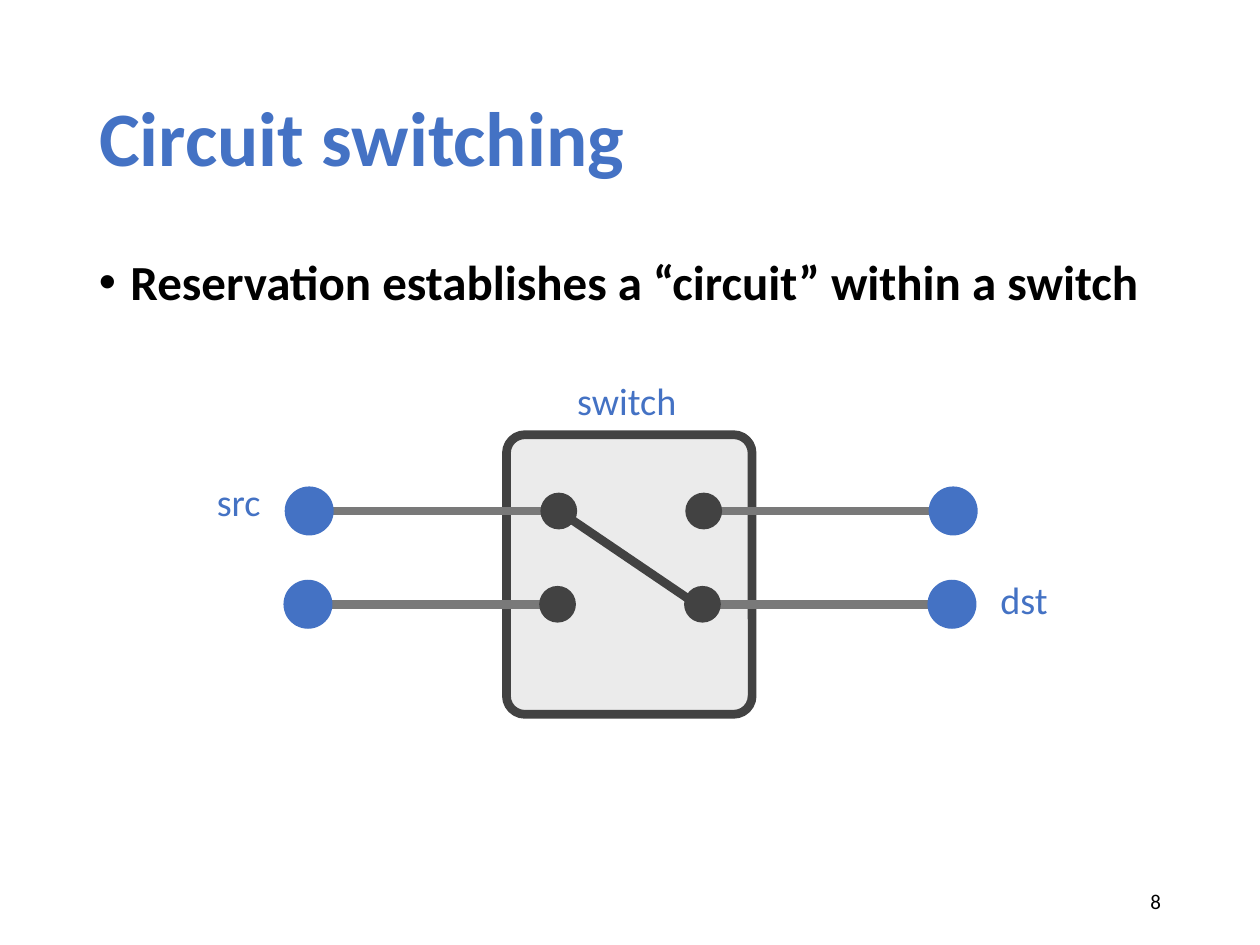
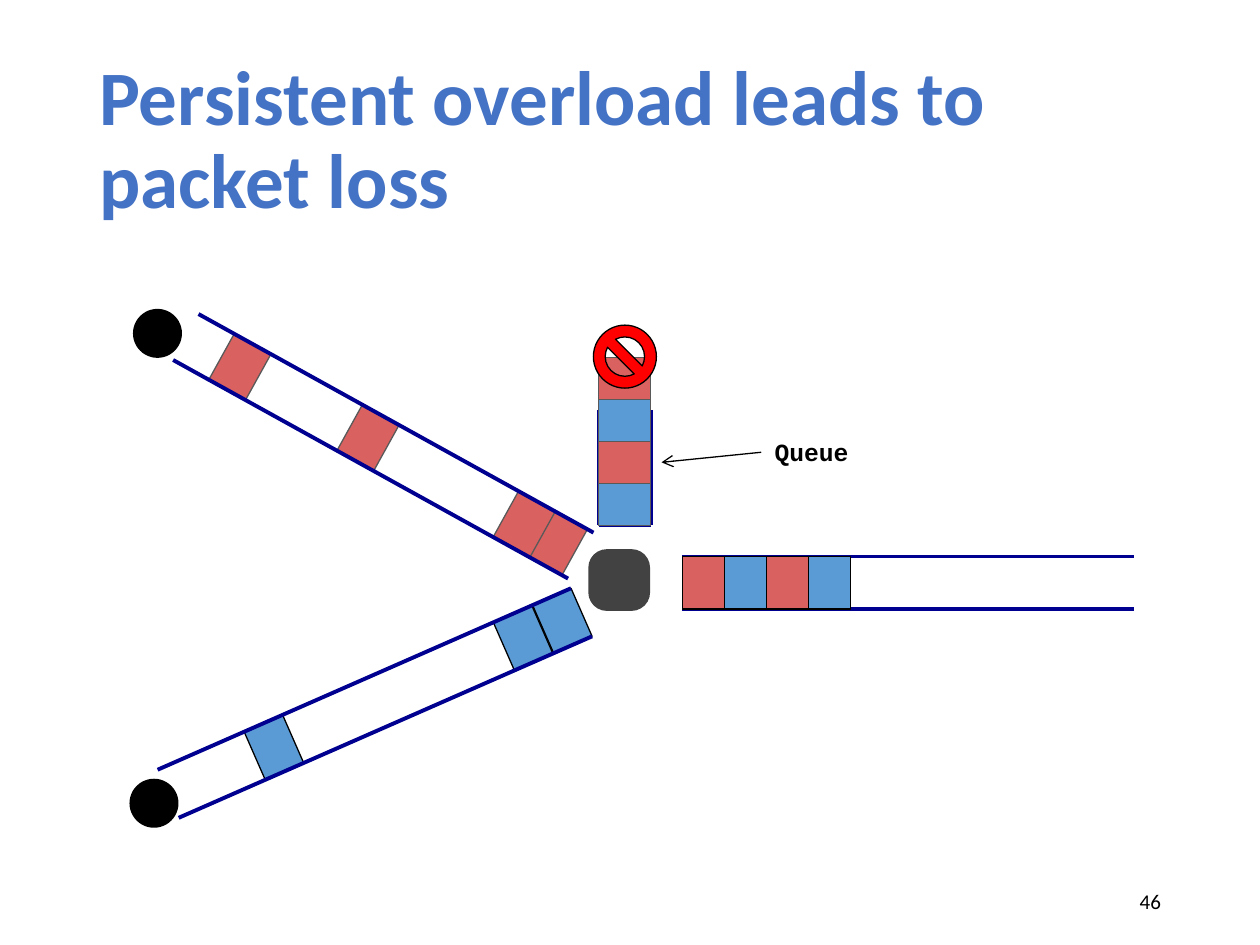
from math import atan2, cos, degrees, hypot, sin

from pptx import Presentation
from pptx.dml.color import RGBColor
from pptx.enum.shapes import MSO_CONNECTOR, MSO_SHAPE
from pptx.enum.text import MSO_ANCHOR, MSO_AUTO_SIZE, PP_ALIGN
from pptx.oxml.ns import qn
from pptx.util import Pt
from lxml.etree import SubElement

BLUE = RGBColor(0x44, 0x72, 0xC4)
SKY = RGBColor(0x5B, 0x9B, 0xD5)
CORAL = RGBColor(0xD9, 0x61, 0x5F)
RED = RGBColor(0xFF, 0x00, 0x00)
NAVY = RGBColor(0x00, 0x00, 0x90)
BLACK = RGBColor(0x00, 0x00, 0x00)
CHARCOAL = RGBColor(0x42, 0x42, 0x42)
SLATE = RGBColor(0x59, 0x59, 0x59)
GRAY = RGBColor(0x79, 0x79, 0x79)
PALE = RGBColor(0xEB, 0xEB, 0xEB)

TITLE_BOX = (49.5, 28.8, 621, 104.4)
BODY_BOX = (49.5, 144, 621, 343)
NUMBER_BOX = (508.5, 500.5, 162, 28.8)
PACKET_LENGTH, PACKET_WIDTH = 24, 30
HOST_SIZE, PORT_SIZE = 28, 21

TITLE_FONT = {"name": "Calibri", "size": Pt(44), "bold": True}
BODY_FONT = {"name": "Calibri", "size": Pt(28), "bold": True}
LABEL_FONT = {"name": "Calibri", "size": Pt(21.8)}
NUMBER_FONT = {"name": "Calibri", "size": Pt(12)}
QUEUE_FONT = {"name": "Courier New", "size": Pt(14.1), "bold": True}


# Shared drawing helpers
def set_values(target, values):
    for name, value in values.items():
        setattr(target, name, value)


def write(shape, text, font, color, align=PP_ALIGN.LEFT, anchor=MSO_ANCHOR.MIDDLE,
          wrap=True, insets=(7.2, 3.6), spacing=1.0):
    frame = shape.text_frame
    across, down = map(Pt, insets)
    set_values(frame, {"auto_size": MSO_AUTO_SIZE.NONE, "word_wrap": wrap,
                       "vertical_anchor": anchor, "margin_left": across,
                       "margin_right": across, "margin_top": down, "margin_bottom": down})
    frame.text = text
    paragraph = frame.paragraphs[0]
    set_values(paragraph, {"alignment": align, "line_spacing": spacing})
    set_values(paragraph.runs[0].font, font)
    paragraph.runs[0].font.color.rgb = color
    return paragraph


def add_text(slide, box, text, font, color, **layout):
    shape = slide.shapes.add_textbox(*map(Pt, box))
    write(shape, text, font, color, **layout)
    return shape


def add_shape(slide, kind, box, fill, line=None, weight=0.75, rotation=0):
    shape = slide.shapes.add_shape(kind, *map(Pt, box))
    shape.shadow.inherit = False
    shape.rotation = rotation
    shape.fill.solid()
    shape.fill.fore_color.rgb = fill
    if line is None:
        shape.line.fill.background()
    else:
        shape.line.color.rgb = line
        shape.line.width = Pt(weight)
    return shape


def add_dot(slide, center, size, fill):
    x, y = center
    return add_shape(slide, MSO_SHAPE.OVAL, (x - size / 2, y - size / 2, size, size), fill)


def add_line(slide, start, end, color, weight):
    line = slide.shapes.add_connector(MSO_CONNECTOR.STRAIGHT, *map(Pt, (*start, *end)))
    line.line.color.rgb = color
    line.line.width = Pt(weight)
    SubElement(line._element.spPr, qn("a:effectLst"))
    return line


def start_slide(presentation, title, number):
    slide = presentation.slides.add_slide(presentation.slide_layouts[5])
    placeholder = slide.shapes.title
    left, top, width, height = map(Pt, TITLE_BOX)
    set_values(placeholder, {"left": left, "top": top, "width": width, "height": height})
    write(placeholder, title, TITLE_FONT, BLUE, spacing=0.9)
    add_text(slide, NUMBER_BOX, number, NUMBER_FONT, BLACK, align=PP_ALIGN.RIGHT)
    return slide


# Bulleted statement
def add_bullet(slide, box, text):
    shape = slide.shapes.add_textbox(*map(Pt, box))
    paragraph = write(shape, text, BODY_FONT, BLACK, anchor=MSO_ANCHOR.TOP, spacing=0.9)
    properties = paragraph._p.get_or_add_pPr()
    properties.set("marL", str(Pt(18)))
    properties.set("indent", str(-Pt(18)))
    SubElement(properties, qn("a:buFont")).set("typeface", "Arial")
    SubElement(properties, qn("a:buChar")).set("char", "•")


# Switch with two wires on each side
def draw_switch(slide, box):
    left, top, width, height = box
    body = add_shape(slide, MSO_SHAPE.ROUNDED_RECTANGLE, box, PALE, CHARCOAL, 5)
    body.adjustments[0] = 0.075
    middle = left + width / 2 + 1.1
    rows = [(middle, top + 43.6), (middle - 0.7, top + 96.9)]
    port_reach, host_reach = 41.4, 184

    (upper_x, upper_y), (lower_x, lower_y) = rows
    add_line(slide, (upper_x - port_reach + 3, upper_y + 2),
             (lower_x + port_reach + 1, lower_y + 3), CHARCOAL, 5)
    for x, y in rows:
        for side in (-1, 1):
            host, port = (x + side * host_reach, y), (x + side * port_reach, y)
            add_line(slide, host, port, GRAY, 5)
            add_dot(slide, host, HOST_SIZE, BLUE)
            add_dot(slide, port, PORT_SIZE, CHARCOAL)

    labels = [("switch", 37.5, -36, 63.4), ("src", -168.4, 21.6, 31), ("dst", 279.4, 77.8, 33.1)]
    for text, x, y, label_width in labels:
        add_text(slide, (left + x, top + y, label_width, 32.4), text, LABEL_FONT, BLUE,
                 wrap=False, insets=(2.9, 2.9))


# Link drawn as two rails, with packets at given distances along its middle
def draw_link(slide, start, end, packets, edge, packets_on_top=False):
    (x1, y1), (x2, y2) = start, end
    angle = atan2(y2 - y1, x2 - x1)
    across = (-sin(angle) * PACKET_WIDTH / 2, cos(angle) * PACKET_WIDTH / 2)

    def draw_rails():
        for side in (-1, 1):
            dx, dy = side * across[0], side * across[1]
            add_line(slide, (x1 + dx, y1 + dy), (x2 + dx, y2 + dy), NAVY, 2.25)

    if packets_on_top:
        draw_rails()
    for distance, color in packets:
        x, y = x1 + distance * cos(angle), y1 + distance * sin(angle)
        add_shape(slide, MSO_SHAPE.RECTANGLE,
                  (x - PACKET_LENGTH / 2, y - PACKET_WIDTH / 2, PACKET_LENGTH, PACKET_WIDTH),
                  color, edge, rotation=degrees(angle))
    if not packets_on_top:
        draw_rails()


# Full queue: open container, stacked packets, drop sign and label
def draw_queue(slide, box):
    left, top, width, height = box
    right, bottom = left + width, top + height
    corners = [(left, top), (left, bottom), (right, bottom), (right, top)]
    for start, end in zip(corners, corners[1:]):
        add_line(slide, start, end, NAVY, 2.25)
    for place, color in enumerate((SKY, CORAL, SKY, CORAL)):
        add_shape(slide, MSO_SHAPE.RECTANGLE,
                  (left, bottom - (place + 1) * PACKET_LENGTH, width, PACKET_LENGTH),
                  color, SLATE, 0.5)
    add_shape(slide, MSO_SHAPE.NO_SYMBOL, (left - 2.9, top - 48.2, 36, 36), RED, BLACK)

    label = add_text(slide, (left + 93, top + 12.2, 56.9, 24.5), "Queue", QUEUE_FONT, BLACK,
                     align=PP_ALIGN.RIGHT, anchor=MSO_ANCHOR.TOP, wrap=False)
    pointer = add_line(slide, (left + 93, top + 24.5), (left + 36, top + 30.2), BLACK, 0.75)
    pointer.begin_connect(label, 1)
    SubElement(pointer.line._get_or_add_ln(), qn("a:tailEnd")).set("type", "arrow")


def build_circuit_slide(presentation):
    slide = start_slide(presentation, "Circuit switching", "8")
    add_bullet(slide, BODY_BOX, "Reservation establishes a “circuit” within a switch")
    draw_switch(slide, (289.4, 248.4, 140.4, 159.8))


def build_overload_slide(presentation):
    slide = start_slide(presentation, "Persistent overload leads to packet loss", "46")
    # Outgoing link, filled from the router end
    outgoing = [((place + 0.5) * PACKET_LENGTH, color)
                for place, color in enumerate((CORAL, SKY, CORAL, SKY))]
    draw_link(slide, (390, 333), (648, 333), outgoing, BLACK, packets_on_top=True)
    # Router
    router = add_shape(slide, MSO_SHAPE.ROUNDED_RECTANGLE, (336.2, 313.8, 35.3, 35.3), CHARCOAL)
    router.adjustments[0] = 0.3
    # Senders and their links
    for center in ((90, 190.5), (88, 459)):
        add_dot(slide, center, HOST_SIZE, BLACK)
    draw_link(slide, (96.1, 453.6), (332.3, 349.9),
              [(distance, SKY) for distance in (66, 246, 221.5)], BLACK)
    draw_link(slide, (106.2, 192.6), (331.9, 317.5),
              [(distance, CORAL) for distance in (242, 221, 119, 35.3)], SLATE)
    draw_queue(slide, (342, 234, 30, 66.2))


def main():
    presentation = Presentation()
    set_values(presentation, {"slide_width": Pt(720), "slide_height": Pt(540)})
    build_circuit_slide(presentation)
    build_overload_slide(presentation)
    presentation.save("out.pptx")


if __name__ == "__main__":
    main()
